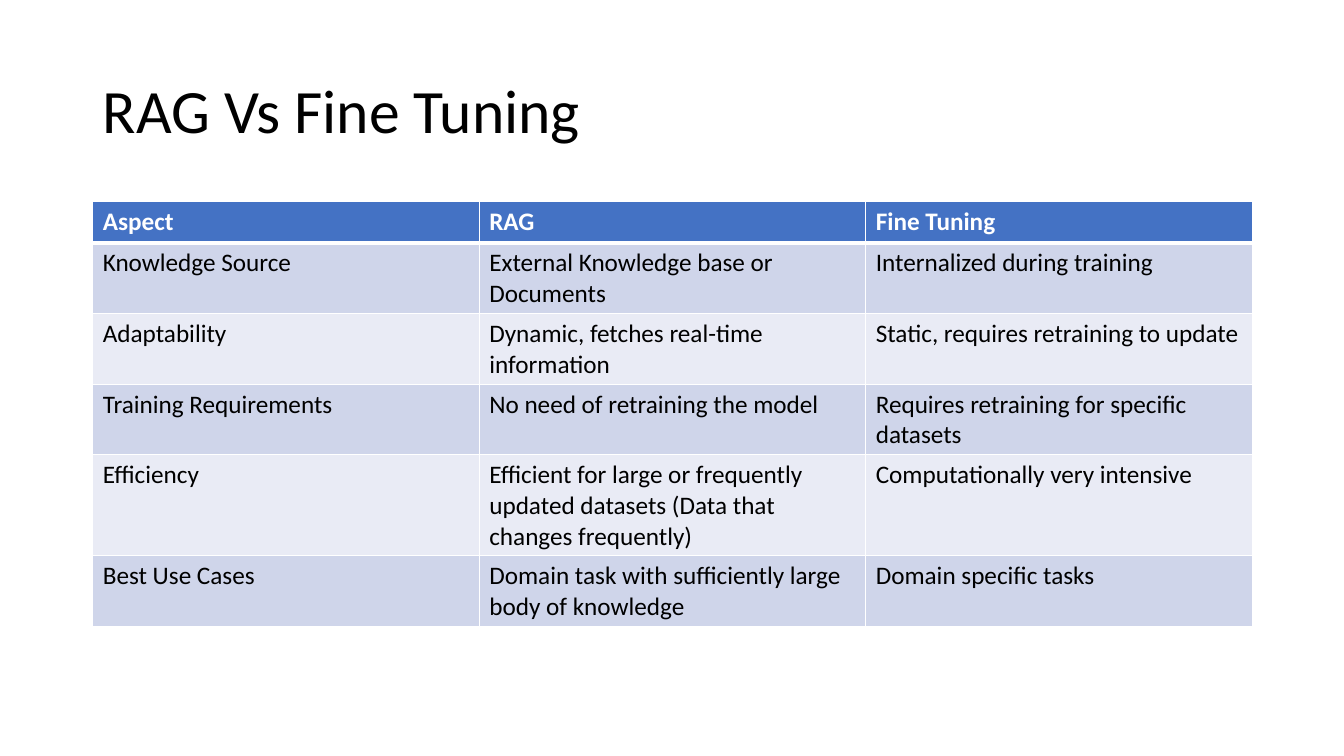
"""Builds a slide that compares RAG with fine tuning in a table."""
from dataclasses import dataclass

from lxml import etree
from pptx import Presentation
from pptx.dml.color import RGBColor
from pptx.enum.text import MSO_ANCHOR
from pptx.oxml.ns import qn
from pptx.util import Inches, Pt

MIDDLE = MSO_ANCHOR.MIDDLE

TITLE = "RAG Vs Fine Tuning"
COMPARISON = [
    ("Aspect", "RAG", "Fine Tuning"),
    ("Knowledge Source", "External Knowledge base or Documents", "Internalized during training"),
    ("Adaptability", "Dynamic, fetches real-time information", "Static, requires retraining to update"),
    ("Training Requirements", "No need of retraining the model", "Requires retraining for specific datasets"),
    ("Efficiency", "Efficient for large or frequently updated datasets (Data that changes frequently)",
     "Computationally very intensive"),
    ("Best Use Cases", "Domain task with sufficiently large body of knowledge", "Domain specific tasks"),
]


@dataclass(frozen=True)
class Theme:
    font: str = "Calibri"
    title_size: int = 44
    table_size: int = 18
    text: str = "000000"
    header_text: str = "FFFFFF"
    header_fill: str = "4472C4"
    bands: tuple = ("E9EBF5", "CFD5EA")
    rule: str = "FFFFFF"
    thin: int = 1
    thick: int = 3


THEME = Theme()
SLIDE_WIDTH, SLIDE_HEIGHT = Inches(13.33), Inches(7.5)
MARGIN = Inches(0.92)
CONTENT_WIDTH = Inches(11.5)
TITLE_TOP, TITLE_HEIGHT = Inches(0.4), Inches(1.45)
TABLE_TOP, ROW_HEIGHT = Inches(2), Inches(0.41)


def write(paragraph, words, size, color, bold=False):
    run = paragraph.add_run()
    run.text = words
    run.font.name = THEME.font
    run.font.size = Pt(size)
    run.font.bold = bold
    run.font.color.rgb = RGBColor.from_string(color)


def rule_cell(cell, top, bottom):
    properties = cell._tc.get_or_add_tcPr()
    for side, width in (("L", THEME.thin), ("R", THEME.thin), ("T", top), ("B", bottom)):
        line = etree.SubElement(properties, qn(f"a:ln{side}"), w=str(Pt(width)))
        fill = etree.SubElement(line, qn("a:solidFill"))
        etree.SubElement(fill, qn("a:srgbClr"), val=THEME.rule)


def add_title(slide):
    frame = slide.shapes.add_textbox(MARGIN, TITLE_TOP, CONTENT_WIDTH, TITLE_HEIGHT).text_frame
    frame.word_wrap = True
    frame.vertical_anchor = MIDDLE
    heading = frame.paragraphs[0]
    heading.line_spacing = 0.9
    write(heading, TITLE, THEME.title_size, THEME.text)


def add_comparison(slide):
    row_count, column_count = len(COMPARISON), len(COMPARISON[0])
    table = slide.shapes.add_table(row_count, column_count, MARGIN, TABLE_TOP,
                                   CONTENT_WIDTH, ROW_HEIGHT * row_count).table
    for row, entries in enumerate(COMPARISON):
        header = row == 0
        fill = THEME.header_fill if header else THEME.bands[row % 2]
        color = THEME.header_text if header else THEME.text
        top = THEME.thick if row == 1 else THEME.thin
        bottom = THEME.thick if header else THEME.thin
        for column, words in enumerate(entries):
            cell = table.cell(row, column)
            rule_cell(cell, top, bottom)
            cell.fill.solid()
            cell.fill.fore_color.rgb = RGBColor.from_string(fill)
            write(cell.text_frame.paragraphs[0], words, THEME.table_size, color, header)


def main():
    deck = Presentation()
    deck.slide_width, deck.slide_height = SLIDE_WIDTH, SLIDE_HEIGHT
    slide = deck.slides.add_slide(deck.slide_layouts[6])
    add_title(slide)
    add_comparison(slide)
    deck.save("out.pptx")


if __name__ == "__main__":
    main()
